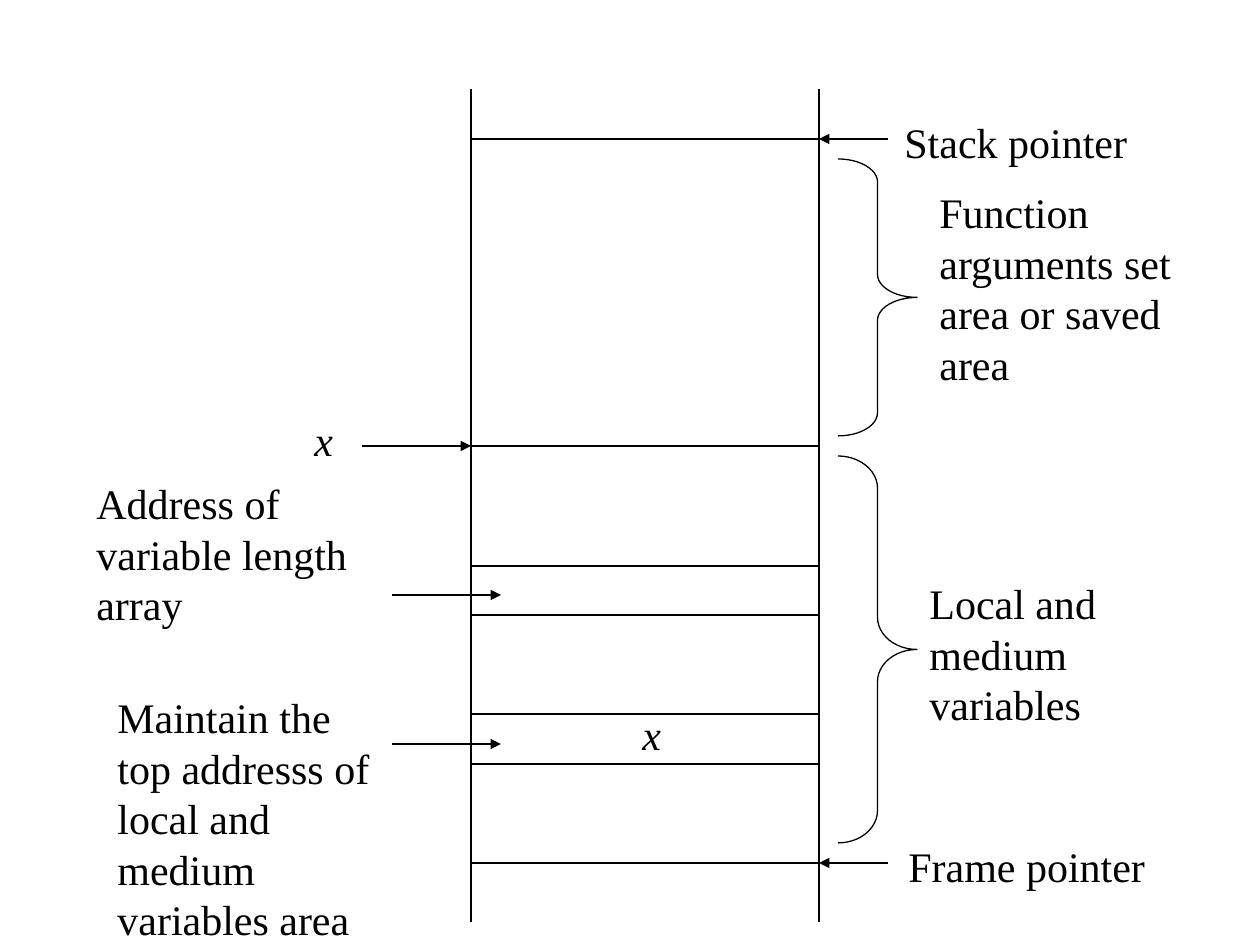
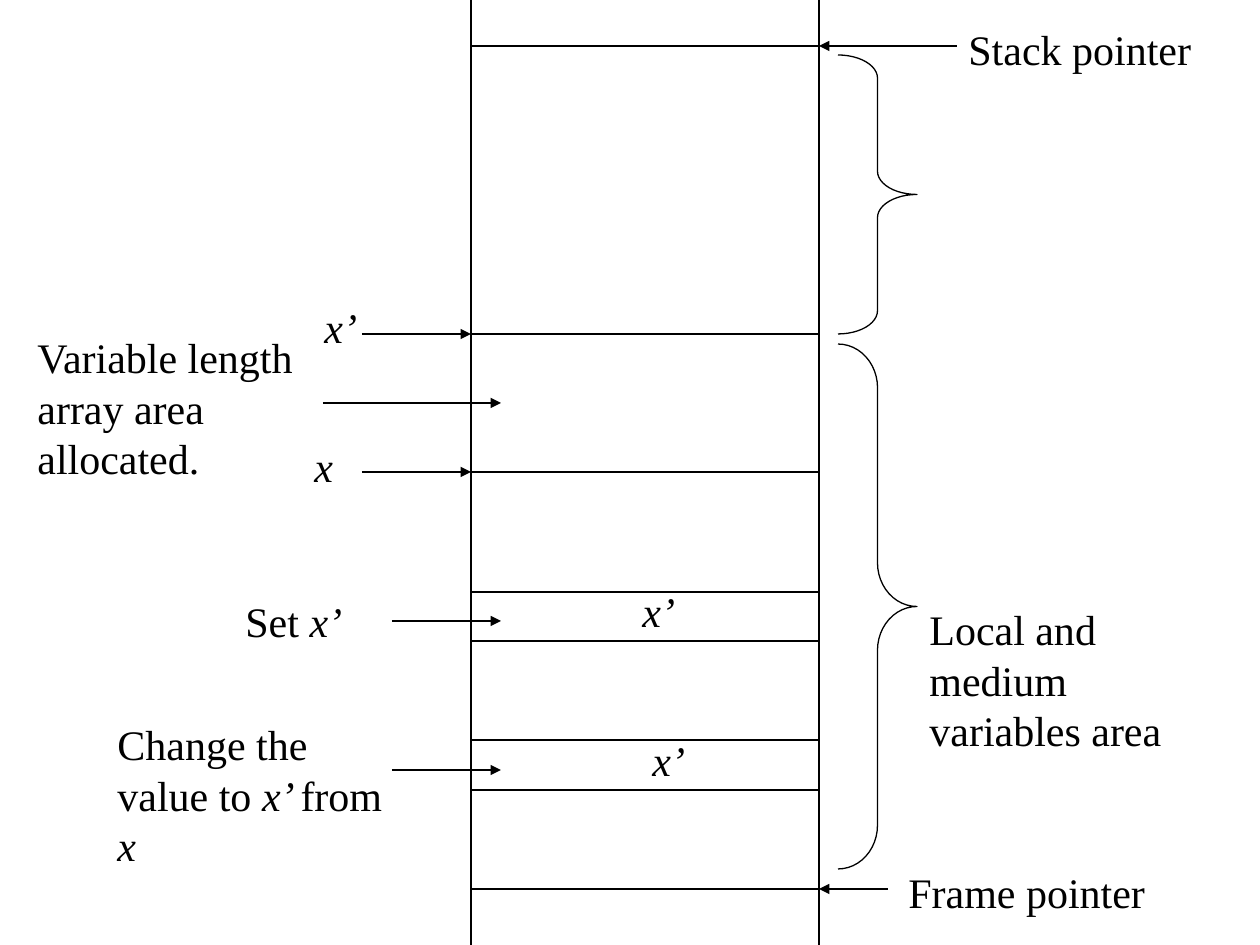
from dataclasses import dataclass

import pptx
import pptx.dml.color
import pptx.enum.shapes
import pptx.enum.text
import pptx.util
from lxml import etree
from pptx.oxml.ns import qn

EMU_PER_PX = 914400 / 126


@dataclass(frozen=True)
class Theme:
    ink: pptx.dml.color.RGBColor = pptx.dml.color.RGBColor(0, 0, 0)
    font: str = "Times New Roman"
    size: pptx.util.Length = pptx.util.Pt(24)
    leading: pptx.util.Length = pptx.util.Pt(28.8)
    line: pptx.util.Length = pptx.util.Pt(0.75)


THEME = Theme()
STACK_LEFT, STACK_RIGHT = 471, 819
SLOT_ARROW_START, SLOT_ARROW_END = 392, 501
EDGE_ARROW_START = 362
POINTER_ARROW_START = 888
BRACE_LEFT, BRACE_WIDTH = 838, 79
LINE_HEIGHT = 50
# Cell borders below the line marked x, down to the frame pointer
CELL_OFFSETS = (0, 120, 169, 268, 318, 417)


def px(n):
    return pptx.util.Emu(round(n * EMU_PER_PX))


def add_line(s, x1, y1, x2, y2, arrow=False):
    c = s.shapes.add_connector(
        pptx.enum.shapes.MSO_CONNECTOR.STRAIGHT, px(x1), px(y1), px(x2), px(y2))
    c.line.color.rgb = THEME.ink
    c.line.width = THEME.line
    if arrow:
        etree.SubElement(c.line._get_or_add_ln(), qn("a:tailEnd"), type="triangle")
    etree.SubElement(c._element.spPr, qn("a:effectLst"))


def add_arrow(s, x1, x2, y):
    add_line(s, x1, y, x2, y, arrow=True)


def add_slot_arrow(s, y, start=SLOT_ARROW_START):
    add_arrow(s, start, SLOT_ARROW_END, y)


def add_border(s, y):
    add_line(s, STACK_LEFT, y, STACK_RIGHT, y)


def add_brace(s, top, bottom):
    height = bottom - top
    sp = s.shapes.add_shape(
        pptx.enum.shapes.MSO_SHAPE.RIGHT_BRACE,
        px(BRACE_LEFT), px(top), px(BRACE_WIDTH), px(height))
    sp.adjustments[0] = height / 12 / BRACE_WIDTH
    sp.shadow.inherit = False
    sp.fill.background()
    sp.line.color.rgb = THEME.ink
    sp.line.width = THEME.line


def add_label(s, x, y, width, text, lines=1, wrap=True):
    """Add text in which *asterisks* enclose the italic parts."""
    sp = s.shapes.add_textbox(px(x), px(y), px(width), px(lines * LINE_HEIGHT + 13))
    tf = sp.text_frame
    tf.word_wrap = wrap
    tf.auto_size = pptx.enum.text.MSO_AUTO_SIZE.NONE
    tf.margin_top, tf.margin_bottom = px(8), px(4)
    p = tf.paragraphs[0]
    p.line_spacing = THEME.leading
    p.font.name = THEME.font
    p.font.size = THEME.size
    p.font.color.rgb = THEME.ink
    for i, part in enumerate(text.split("*")):
        if part:
            r = p.add_run()
            r.text = part
            if i % 2:
                r.font.italic = True


def add_stack(s, top, bottom, stack_y, x_y, stack_arrow_start, stack_label_x):
    """Draw the column, its cells, and the stack, x and frame markers."""
    for x in (STACK_LEFT, STACK_RIGHT):
        add_line(s, x, top, x, bottom)
    add_border(s, stack_y)
    for offset in CELL_OFFSETS:
        add_border(s, x_y + offset)
    frame_y = x_y + CELL_OFFSETS[-1]
    add_arrow(s, stack_arrow_start, STACK_RIGHT, stack_y)
    add_arrow(s, POINTER_ARROW_START, STACK_RIGHT, frame_y)
    add_arrow(s, EDGE_ARROW_START, STACK_LEFT, x_y)
    for middle in (149, 298):
        add_slot_arrow(s, x_y + middle)
    add_label(s, stack_label_x, stack_y - 30, 248, "Stack pointer", wrap=False)
    add_label(s, 896, frame_y - 30, 262, "Frame pointer", wrap=False)
    add_label(s, 302, x_y - 39, 49, "*x*")


def build_before_allocation(s):
    add_stack(s, 89, 922, 139, 446, POINTER_ARROW_START, 892)
    add_brace(s, 159, 436)
    add_brace(s, 456, 843)
    add_label(s, 927, 179, 307, "Function arguments set area or saved area", 4)
    add_label(s, 917, 570, 307, "Local and medium variables", 3)
    add_label(s, 84, 470, 297, "Address of variable length array", 3)
    add_label(s, 105, 684, 297,
              "Maintain the top addresss of local and medium variables area", 5)
    add_label(s, 630, 701, 49, "*x*")


def build_after_allocation(s):
    array_top = 334
    add_stack(s, 0, 945, 46, 472, 957, 956)
    add_border(s, array_top)
    add_arrow(s, EDGE_ARROW_START, STACK_LEFT, array_top)
    add_slot_arrow(s, 403, start=323)
    add_brace(s, 55, 334)
    add_brace(s, 344, 869)
    add_label(s, 917, 596, 307, "Local and medium variables area", 3)
    add_label(s, 25, 324, 297, "Variable length array area allocated.", 3)
    add_label(s, 233, 588, 139, "Set *x’*")
    add_label(s, 105, 711, 297, "Change the value to *x’ *from *x*", 3)
    for x, y in ((312, 294), (630, 578), (640, 727)):
        add_label(s, x, y, 79, "*x’*")


def main():
    prs = pptx.Presentation()
    prs.slide_width, prs.slide_height = px(1260), px(945)
    blank = prs.slide_layouts[6]
    for build in (build_before_allocation, build_after_allocation):
        build(prs.slides.add_slide(blank))
    prs.save("out.pptx")


if __name__ == "__main__":
    main()
